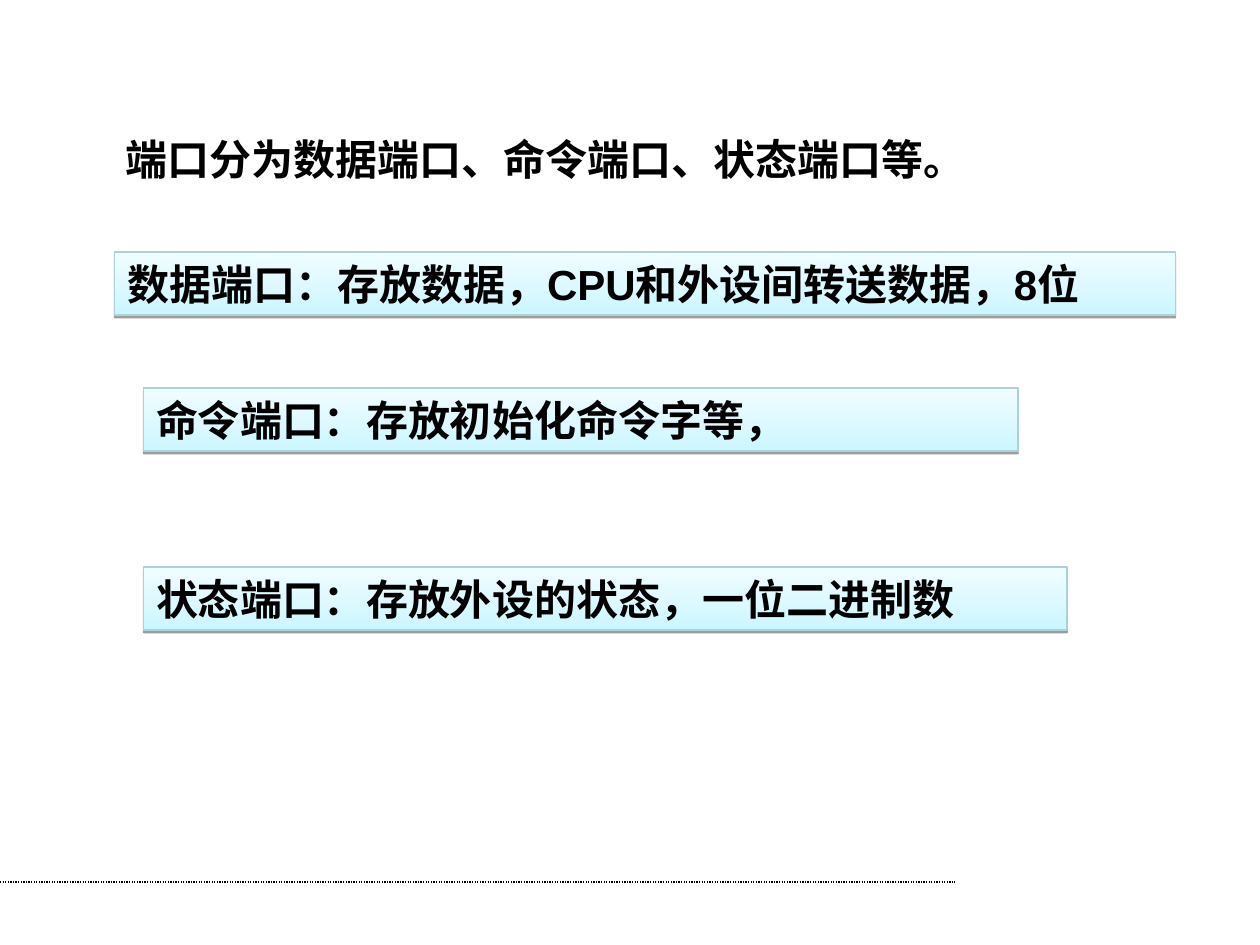
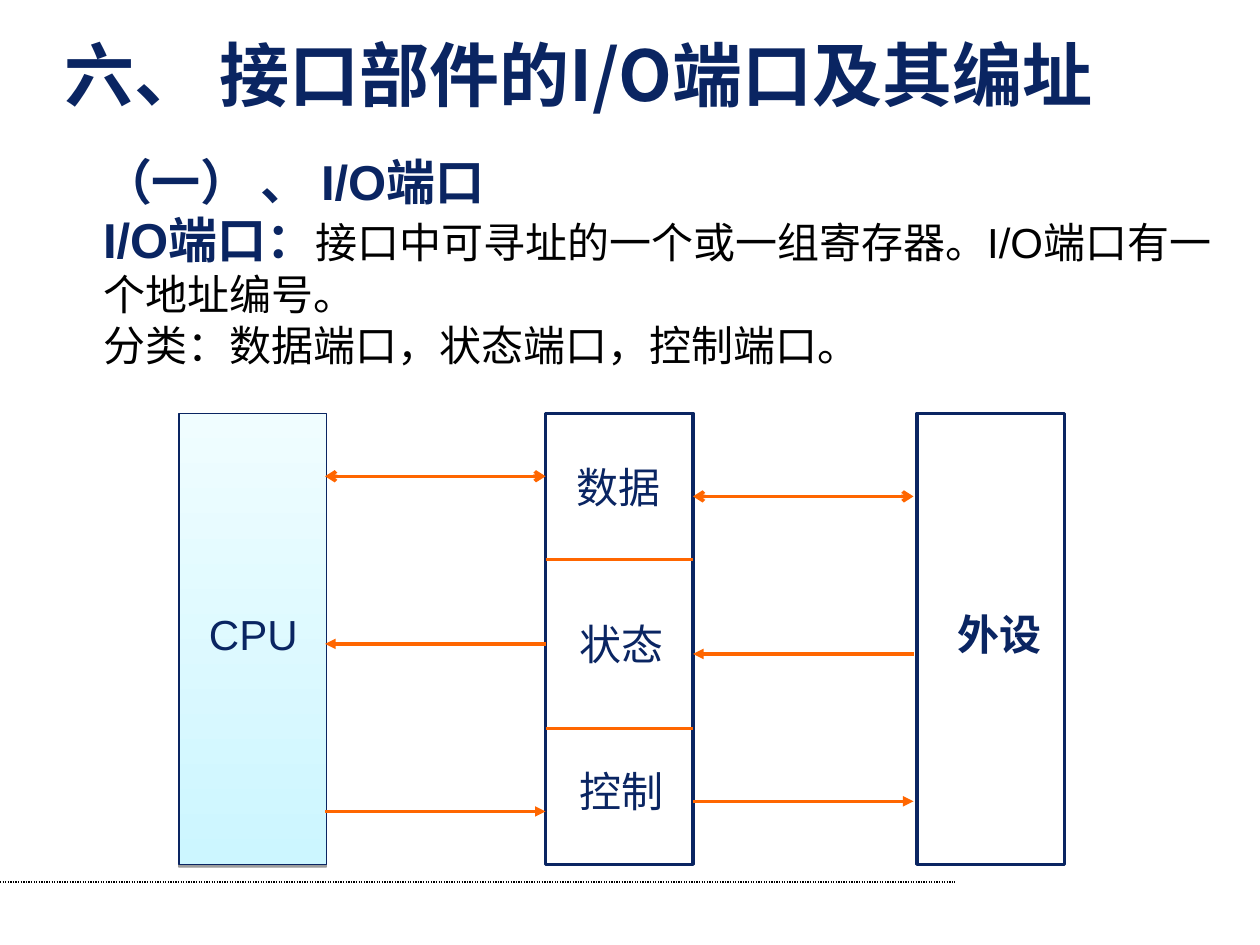
from lxml.etree import SubElement
from pptx import Presentation
from pptx.dml.color import RGBColor
from pptx.enum.dml import MSO_LINE
from pptx.enum.shapes import MSO_CONNECTOR as Connector, MSO_SHAPE as Shape
from pptx.enum.text import MSO_ANCHOR as Anchor, MSO_AUTO_SIZE as AutoSize, PP_ALIGN as Align
from pptx.oxml.ns import qn
from pptx.util import Inches, Pt

COLUMNS, ROWS = 10, 7.5
WIDTH, HEIGHT = Inches(COLUMNS), Inches(ROWS)
NAVY, BLACK, WHITE, ORANGE = "0A2562", "000000", "FFFFFF", "FF6600"
ICE, PALE_ICE, ICE_EDGE = "CCF6FF", "F0FDFF", "ADD1D8"
LATIN, CHINESE = "Arial", "Noto Sans CJK SC"

HEADING = {"size": Pt(40), "bold": True, "name": CHINESE}
SUBHEADING = {"size": Pt(28), "bold": True, "name": LATIN}
STRONG = {"size": Pt(24), "bold": True, "name": LATIN}
PLAIN = {"size": Pt(24), "bold": False, "name": LATIN}
FRAME = {"word_wrap": True, "auto_size": AutoSize.NONE, "vertical_anchor": Anchor.TOP,
         "margin_left": Inches(0.1), "margin_right": Inches(0.1),
         "margin_top": Inches(0.05), "margin_bottom": Inches(0.05)}

LINE_HEIGHT = 0.5
PILLAR_TOP, PILLAR_WIDTH, PILLAR_HEIGHT = 3.28, 1.17, 3.58
CPU_LEFT, PORTS_LEFT, DEVICE_LEFT = 1.42, 4.33, 7.28
LABEL_WIDTH = 1.02
ARROW_LENGTH = 1.75


def color(hex_code):
    """Turn a hex string into a colour."""
    return RGBColor.from_string(hex_code)


def cells(column, row):
    """Turn grid columns and rows into slide lengths."""
    return round(WIDTH * column / COLUMNS), round(HEIGHT * row / ROWS)


def apply(target, values):
    """Set each attribute named in a dict of format values."""
    for name, value in values.items():
        setattr(target, name, value)


def write(frame, paragraphs, **changes):
    """Fill a frame with paragraphs of (text, font values, colour) runs."""
    apply(frame, {**FRAME, **changes})
    for index, runs in enumerate(paragraphs):
        paragraph = frame.add_paragraph() if index else frame.paragraphs[0]
        paragraph.alignment = Align.LEFT
        for text, font_values, hex_code in runs:
            run = paragraph.add_run()
            run.text = text
            apply(run.font, font_values)
            run.font.color.rgb = color(hex_code)
            SubElement(run.font._element, qn("a:ea"), typeface=CHINESE)


def add_text(slide, left, top, width, height, paragraphs):
    """Add a text box on the grid."""
    box = slide.shapes.add_textbox(*cells(left, top), *cells(width, height))
    write(box.text_frame, paragraphs)


def add_box(slide, left, top, width, height, edge, weight):
    """Add a white outlined rectangle on the grid."""
    box = slide.shapes.add_shape(Shape.RECTANGLE, *cells(left, top), *cells(width, height))
    box.shadow.inherit = False
    box.fill.solid()
    box.fill.fore_color.rgb = color(WHITE)
    box.line.color.rgb = color(edge)
    box.line.width = Pt(weight)
    return box


def add_icy_box(slide, left, top, width, height, edge):
    """Add a rectangle with an icy gradient and a thin shadow below it."""
    box = add_box(slide, left, top, width, height, edge, 0.75)
    box.fill.gradient()
    box.fill.gradient_angle = 90
    for stop, hex_code in zip(box.fill.gradient_stops, (ICE, PALE_ICE)):
        stop.color.rgb = color(hex_code)
    effects = box._element.spPr.find(qn("a:effectLst"))
    shadow = SubElement(effects, qn("a:outerShdw"), blurRad="0", dist=str(Pt(1.6)),
                        dir="5400000", rotWithShape="0")
    tint = SubElement(shadow, qn("a:srgbClr"), val=BLACK)
    SubElement(tint, qn("a:alpha"), val="38000")
    return box


def add_line(slide, start, end, hex_code=ORANGE, weight=2, head=None, tail=None):
    """Add a straight line on the grid, with optional arrowheads."""
    line = slide.shapes.add_connector(Connector.STRAIGHT, *cells(*start), *cells(*end))
    line.line.color.rgb = color(hex_code)
    line.line.width = Pt(weight)
    outline = line.line._get_or_add_ln()
    for tag, kind in (("a:headEnd", head), ("a:tailEnd", tail)):
        if kind:
            SubElement(outline, qn(tag), type=kind)
    SubElement(line._element.spPr, qn("a:effectLst"))
    return line


def add_slide(deck, layout):
    """Add a slide with the shared footer rule."""
    slide = deck.slides.add_slide(deck.slide_layouts[layout])
    rule = add_line(slide, (0, 7), (7.58, 7), BLACK, 0.75)
    rule.line.dash_style = MSO_LINE.ROUND_DOT
    return slide


def add_title(slide, text):
    """Place and format the title placeholder."""
    title = slide.shapes.title
    title.left, title.top = cells(0.41, 0.2)
    title.width, title.height = cells(8.96, 0.77)
    write(title.text_frame, [[(text, HEADING, NAVY)]], word_wrap=False)


def add_signals(slide, left, rows):
    """Draw the data, status and control arrows across one gap."""
    right = left + ARROW_LENGTH
    data, status, control = rows
    add_line(slide, (left, data), (right, data), head="arrow", tail="arrow")
    add_line(slide, (right, status), (left, status), tail="triangle")
    add_line(slide, (left, control), (right, control), tail="triangle")


def build_port_kinds(deck):
    """Build the slide that lists the kinds of port."""
    slide = add_slide(deck, 6)
    add_text(slide, 0.9, 1.01, 8.67, LINE_HEIGHT,
             [[("端口分为数据端口、命令端口、状态端口等。", STRONG, BLACK)]])
    for left, top, width, definition in (
            (0.91, 2, 8.42, "数据端口：存放数据，CPU和外设间转送数据，8位"),
            (1.14, 3.08, 6.94, "命令端口：存放初始化命令字等，"),
            (1.14, 4.5, 7.33, "状态端口：存放外设的状态，一位二进制数")):
        card = add_icy_box(slide, left, top, width, LINE_HEIGHT, ICE_EDGE)
        write(card.text_frame, [[(definition, STRONG, BLACK)]])


def build_port_diagram(deck):
    """Build the slide that defines I/O ports and shows their signals."""
    slide = add_slide(deck, 5)
    add_title(slide, "六、 接口部件的I/O端口及其编址")
    add_text(slide, 0.72, 1.15, 9.17, 1.84, [
        [("（一） 、 I/O端口", SUBHEADING, NAVY)],
        [("I/O端口：", SUBHEADING, NAVY),
         ("接口中可寻址的一个或一组寄存器。I/O端口有一个地址编号。", PLAIN, BLACK)],
        [("分类：数据端口，状态端口，控制端口。", PLAIN, BLACK)]])

    add_icy_box(slide, CPU_LEFT, PILLAR_TOP, PILLAR_WIDTH, PILLAR_HEIGHT, NAVY)
    for left in (PORTS_LEFT, DEVICE_LEFT):
        add_box(slide, left, PILLAR_TOP, PILLAR_WIDTH, PILLAR_HEIGHT, NAVY, 2)
    ports_right = PORTS_LEFT + PILLAR_WIDTH
    for divider in (4.44, 5.78):
        add_line(slide, (PORTS_LEFT, divider), (ports_right, divider))

    for left, top, label, font_values in (
            (1.56, 4.78, "CPU", PLAIN), (4.48, 3.61, "数据", PLAIN),
            (4.5, 4.86, "状态", PLAIN), (4.5, 6.03, "控制", PLAIN),
            (7.5, 4.78, "外设", STRONG)):
        add_text(slide, left, top, LABEL_WIDTH, LINE_HEIGHT, [[(label, font_values, NAVY)]])

    add_signals(slide, PORTS_LEFT - ARROW_LENGTH, (3.78, 5.11, 6.44))
    add_signals(slide, ports_right, (3.94, 5.19, 6.36))


def main():
    """Build and save the deck."""
    deck = Presentation()
    deck.slide_width, deck.slide_height = WIDTH, HEIGHT
    build_port_kinds(deck)
    build_port_diagram(deck)
    deck.save("out.pptx")


if __name__ == "__main__":
    main()
